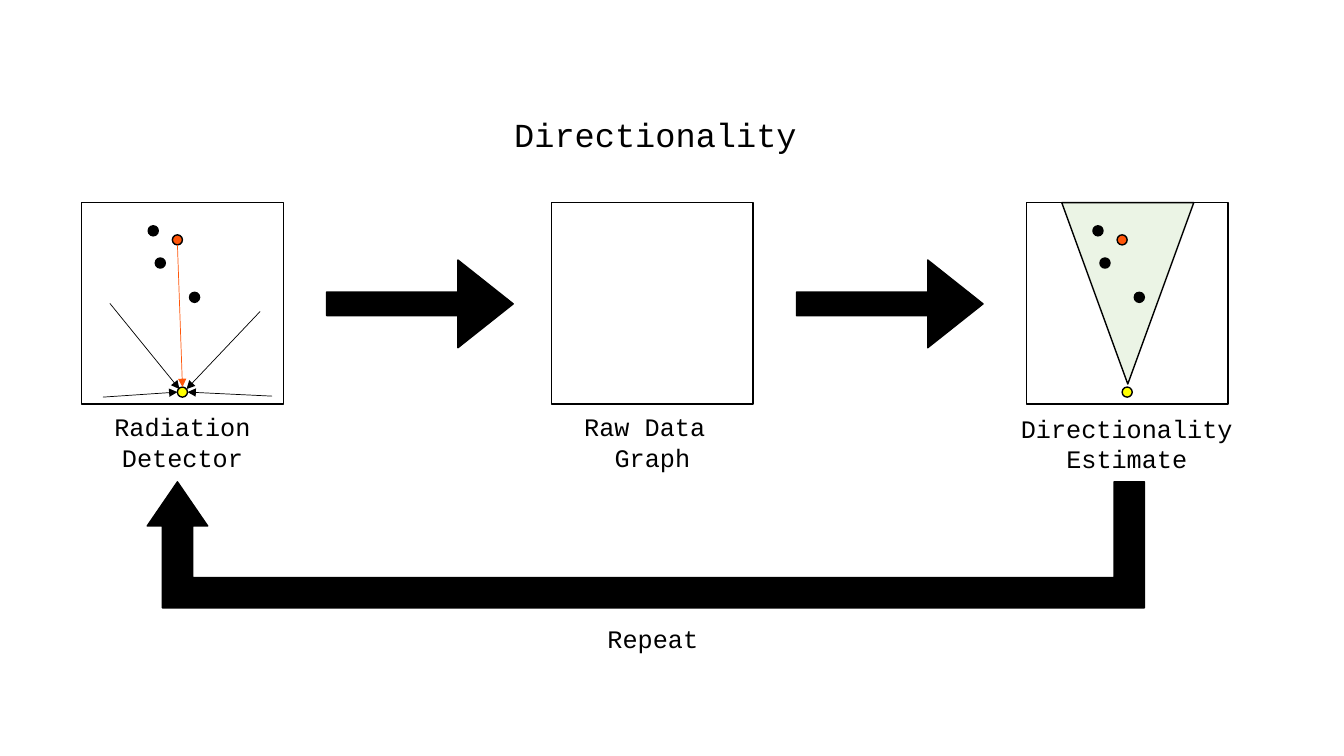
from pptx import Presentation
from pptx.dml.color import RGBColor
from pptx.enum.shapes import MSO_CONNECTOR, MSO_SHAPE
from pptx.enum.text import MSO_ANCHOR, MSO_AUTO_SIZE, PP_ALIGN
from pptx.oxml.ns import qn
from pptx.util import Inches, Pt
from lxml.etree import SubElement

COLORS = {"ink": "000000", "cone": "C5E0B4", "source": "FF5609", "sensor": "FFFF00"}
FONT = "Courier New"
TOP, SIDE, DOT = 2.01, 2, 0.1

# Dots as offsets from the corner of a panel
DOTS = [
    (0.95, 1.83, "sensor"),
    (0.73, 0.55, "ink"),
    (0.9, 0.32, "source"),
    (1.07, 0.89, "ink"),
    (0.66, 0.23, "ink"),
]
# Rays that reach the sensor: start, end, color
RAYS = [
    ((2.58, 3.09), (1.85, 3.86), "ink"),
    ((1.09, 3.01), (1.78, 3.86), "ink"),
    ((1.02, 3.94), (1.76, 3.89), "ink"),
    ((2.7, 3.93), (1.86, 3.89), "ink"),
    ((1.76, 2.43), (1.81, 3.84), "source"),
]


def color(name):
    return RGBColor.from_string(COLORS[name])


def add_form(home, kind, box, fill=None, turn=0, adjust=()):
    form = home.add_shape(kind, *map(Inches, box))
    form.shadow.inherit = False
    form.rotation = turn
    form.line.color.rgb = color("ink")
    form.line.width = Pt(1)
    if fill:
        form.fill.solid()
        form.fill.fore_color.rgb = color(fill)
    else:
        form.fill.background()
    for i, value in enumerate(adjust):
        form.adjustments[i] = value
    return form


def add_panel(home, left):
    add_form(home, MSO_SHAPE.RECTANGLE, (left, TOP, SIDE, SIDE))


def add_dots(home, left):
    for x, y, fill in DOTS:
        add_form(home, MSO_SHAPE.OVAL, (left + x, TOP + y, DOT, DOT), fill)


def add_cone(home, box):
    cone = add_form(home, MSO_SHAPE.ISOSCELES_TRIANGLE, box, "cone", 180)
    tint = cone.fill._xPr.find(qn("a:solidFill"))[0]
    SubElement(tint, qn("a:alpha"), val="34000")


def add_ray(home, start, end, tint):
    ray = home.add_connector(MSO_CONNECTOR.STRAIGHT, *map(Inches, start + end))
    ray.line.color.rgb = color(tint)
    ray.line.width = Pt(0.5)
    SubElement(ray.line._get_or_add_ln(), qn("a:tailEnd"), type="triangle")
    SubElement(ray._element.spPr, qn("a:effectLst"))


def write(shape, lines, size, anchor):
    frame = shape.text_frame
    frame.word_wrap = False
    frame.auto_size = MSO_AUTO_SIZE.SHAPE_TO_FIT_TEXT
    frame.vertical_anchor = anchor
    for i, line in enumerate(lines):
        para = frame.add_paragraph() if i else frame.paragraphs[0]
        para.alignment = PP_ALIGN.CENTER
        para.line_spacing = 1.0
        para.space_before = Pt(0)
        run = para.add_run()
        run.text = line
        run.font.name = FONT
        run.font.size = Pt(size)
        run.font.color.rgb = color("ink")


def add_label(home, box, *lines):
    write(home.add_textbox(*map(Inches, box)), lines, 18, MSO_ANCHOR.MIDDLE)


def add_title(title, box, text):
    title.left, title.top, title.width, title.height = map(Inches, box)
    write(title, [text], 24, MSO_ANCHOR.TOP)


def main():
    deck = Presentation()
    deck.slide_width, deck.slide_height = Inches(13.33), Inches(7.5)
    slide = deck.slides.add_slide(deck.slide_layouts[5])
    home = slide.shapes
    add_title(home.title, (4.99, 1.08, 3.02, 0.5), "Directionality")

    # Radiation detector
    add_panel(home, 0.81)
    add_dots(home, 0.81)
    for ray in RAYS:
        add_ray(home, *ray)
    add_label(home, (1.03, 4.03, 1.56, 0.71), "Radiation", "Detector")

    # Raw data graph
    add_panel(home, 5.47)
    add_label(home, (5.69, 4.03, 1.56, 0.71), "Raw Data ", "Graph")

    # Directionality estimate
    group = home.add_group_shape().shapes
    add_panel(group, 10.18)
    add_cone(group, (10.53, TOP, 1.31, 1.8))
    add_dots(group, 10.18)
    add_label(home, (10.02, 4.04, 2.31, 0.71), "Directionality", "Estimate")

    # Flow arrows
    for left in (3.24, 7.9):
        add_form(home, MSO_SHAPE.RIGHT_ARROW, (left, 2.58, 1.85, 0.87), "ink",
                 adjust=(0.27, 0.63))
    add_form(home, MSO_SHAPE.U_TURN_ARROW, (1.46, 4.78, 9.89, 1.25), "ink", 180,
             (0.24, 0.24, 0.35, 0, 1))
    add_label(home, (5.92, 6.13, 1.11, 0.4), "Repeat")

    deck.save("out.pptx")


if __name__ == "__main__":
    main()
